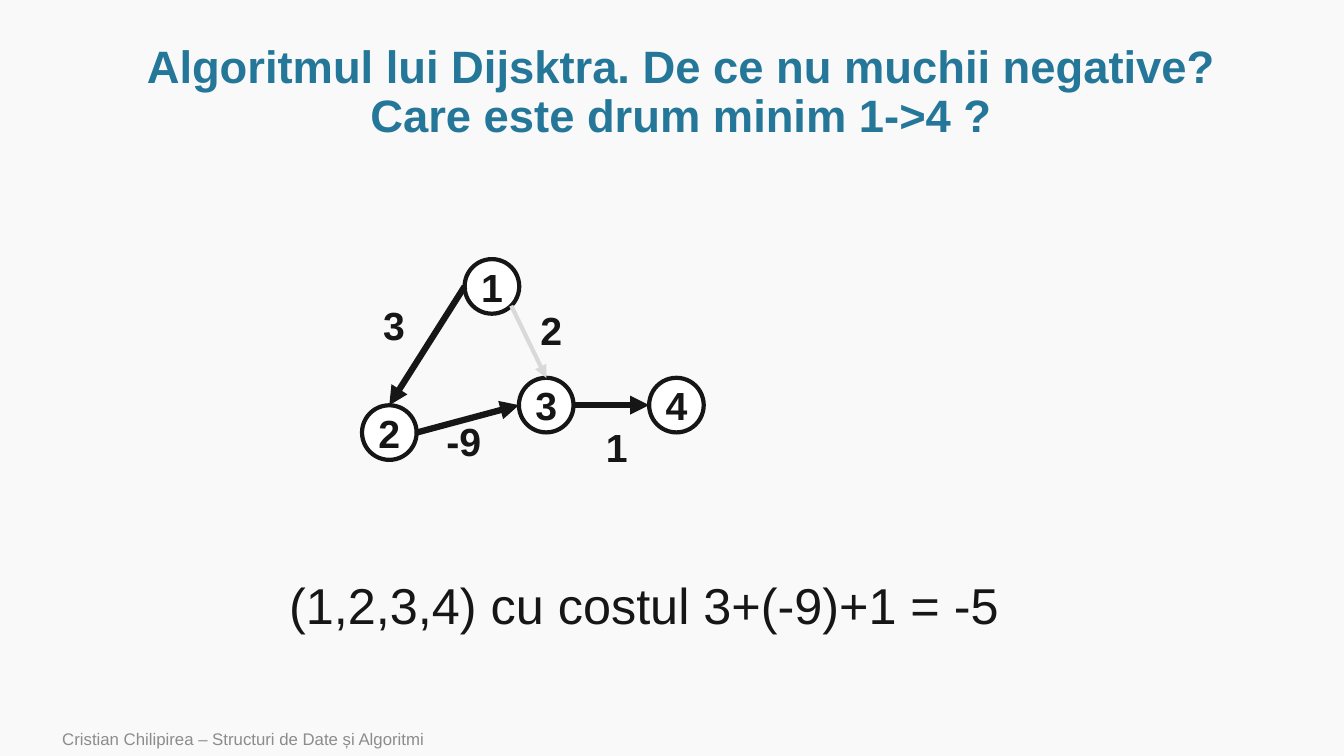
from lxml import etree
from pptx import Presentation
from pptx.dml.color import RGBColor
from pptx.enum.shapes import MSO_CONNECTOR, MSO_SHAPE
from pptx.enum.text import MSO_ANCHOR, PP_ALIGN
from pptx.oxml.ns import qn
from pptx.util import Pt

STRAIGHT = MSO_CONNECTOR.STRAIGHT
OVAL = MSO_SHAPE.OVAL
TOP, MIDDLE = MSO_ANCHOR.TOP, MSO_ANCHOR.MIDDLE
LEFT, CENTER = PP_ALIGN.LEFT, PP_ALIGN.CENTER

INK = "171616"
PALE = "D9D9D9"
TEAL = "247798"
GREY = "8C8C8C"
PAPER = "F9F9F9"
WHITE = "FFFFFF"

DIAMETER = 39
LABEL_SIZE = (50.4, 41)
DIAGONAL = 0.5 ** 0.5
SIDES = {
    "top": (0, -1),
    "left": (-1, 0),
    "right": (1, 0),
    "lower right": (DIAGONAL, DIAGONAL),
}
NODE_CENTERS = {
    "1": (351.4, 204.6),
    "2": (278.1, 309),
    "3": (390.2, 289.4),
    "4": (483.2, 289.4),
}
EDGES = [
    ("1", "left", "2", "top", INK, 4.5),
    ("2", "right", "3", "left", INK, 4.5),
    ("1", "lower right", "3", "top", PALE, 3),
    ("3", "right", "4", "left", INK, 4.5),
]
COSTS = [
    ("2", 368.6, 215.3),
    ("-9", 306, 294.5),
    ("3", 256.3, 211.7),
    ("1", 415.4, 298.8),
]


def color(hex_value):
    """Turn a hex string into a colour."""
    return RGBColor.from_string(hex_value)


def write(shape, text, size, ink=INK, bold=False, align=CENTER,
          anchor=TOP, wrap=True):
    """Put one styled paragraph into a shape and return the paragraph."""
    frame = shape.text_frame
    frame.word_wrap = wrap
    frame.vertical_anchor = anchor
    paragraph = frame.paragraphs[0]
    paragraph.text = text
    paragraph.alignment = align
    paragraph.font.name = "Arial"
    paragraph.font.size = Pt(size)
    paragraph.font.bold = bold
    paragraph.font.color.rgb = color(ink)
    return paragraph


def add_text(slide, text, left, top, width, height, size, **style):
    """Add a text box and return its paragraph."""
    box = slide.shapes.add_textbox(Pt(left), Pt(top), Pt(width), Pt(height))
    return write(box, text, size, **style)


def add_node(slide, name):
    """Add a numbered graph node."""
    x, y = NODE_CENTERS[name]
    node = slide.shapes.add_shape(OVAL, Pt(x - DIAMETER / 2), Pt(y - DIAMETER / 2),
                                  Pt(DIAMETER), Pt(DIAMETER))
    node.shadow.inherit = False
    node.fill.solid()
    node.fill.fore_color.rgb = color(WHITE)
    node.line.color.rgb = color(INK)
    node.line.width = Pt(3)
    write(node, name, 28, bold=True, anchor=MIDDLE, wrap=False)


def rim_point(name, side):
    """Return the point on a node's rim at the given side."""
    return [Pt(center + DIAMETER / 2 * step)
            for center, step in zip(NODE_CENTERS[name], SIDES[side])]


def add_edge(slide, source, source_side, target, target_side, ink, width):
    """Add an arrow from one node to another."""
    edge = slide.shapes.add_connector(STRAIGHT, *rim_point(source, source_side),
                                      *rim_point(target, target_side))
    edge.line.color.rgb = color(ink)
    edge.line.width = Pt(width)
    etree.SubElement(edge.line._get_or_add_ln(), qn("a:tailEnd"), type="triangle")
    etree.SubElement(edge._element.spPr, qn("a:effectLst"))


def main():
    """Build and save the slide."""
    deck = Presentation()
    deck.slide_width, deck.slide_height = Pt(960), Pt(540)
    slide = deck.slides.add_slide(deck.slide_layouts[6])
    slide.background.fill.solid()
    slide.background.fill.fore_color.rgb = color(PAPER)

    title = add_text(
        slide,
        "Algoritmul lui Dijsktra. De ce nu muchii negative?\v"
        "Care este drum minim 1->4 ?",
        72.5, 36.7, 828, 60, 32.4, ink=TEAL, bold=True, anchor=MIDDLE)
    title.line_spacing = 0.9

    for name in NODE_CENTERS:
        add_node(slide, name)
    for edge in EDGES:
        add_edge(slide, *edge)
    for cost, left, top in COSTS:
        add_text(slide, cost, left, top, *LABEL_SIZE, 28, bold=True)

    add_text(slide, "(1,2,3,4) cu costul 3+(-9)+1 = -5",
             199.5, 406.8, 526.3, 51, 36, align=LEFT, wrap=False)
    add_text(slide, "Cristian Chilipirea – Structuri de Date și Algoritmi",
             37.4, 515.5, 604.8, 24.5, 12, ink=GREY, align=LEFT, anchor=MIDDLE)
    deck.save("out.pptx")


if __name__ == "__main__":
    main()
